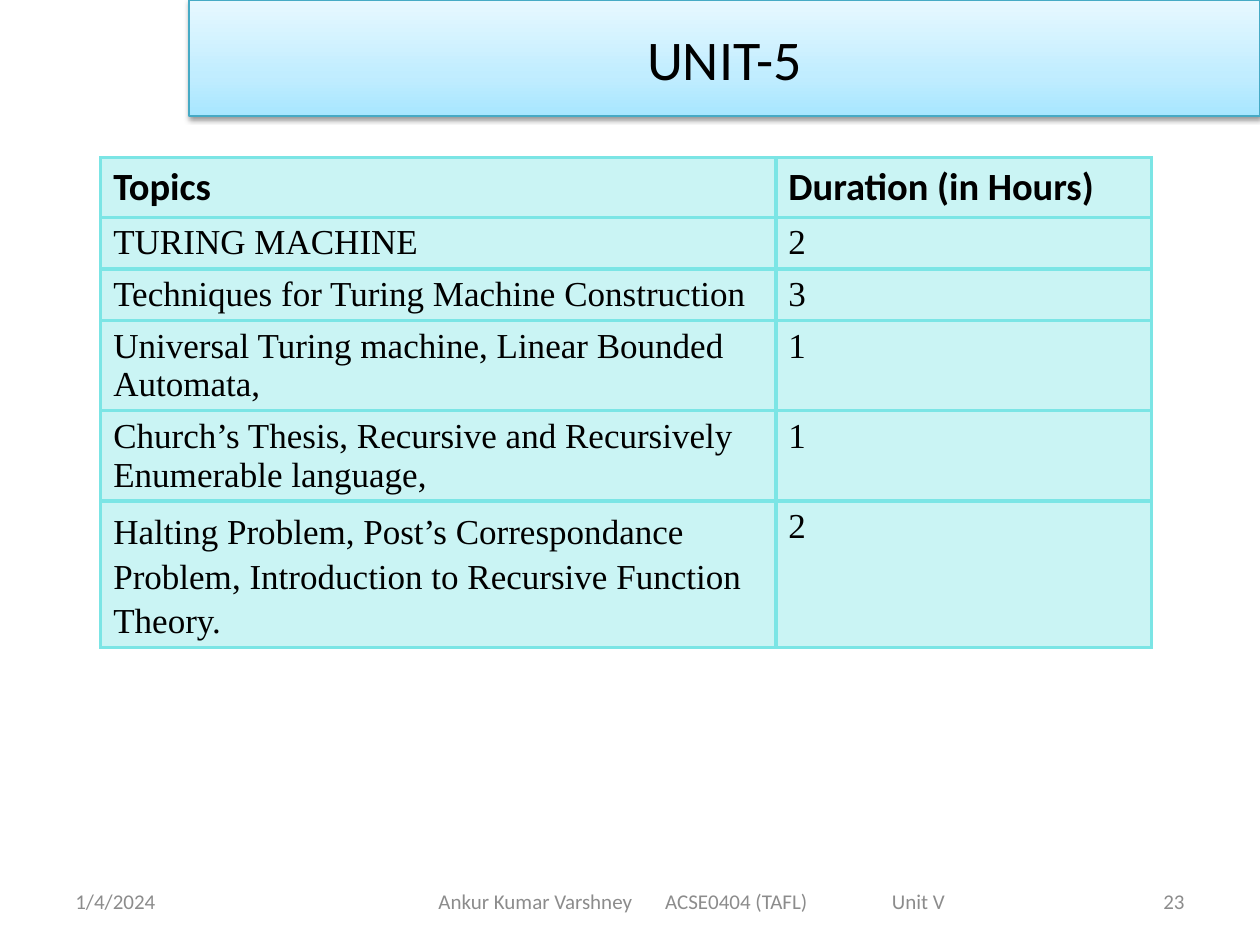
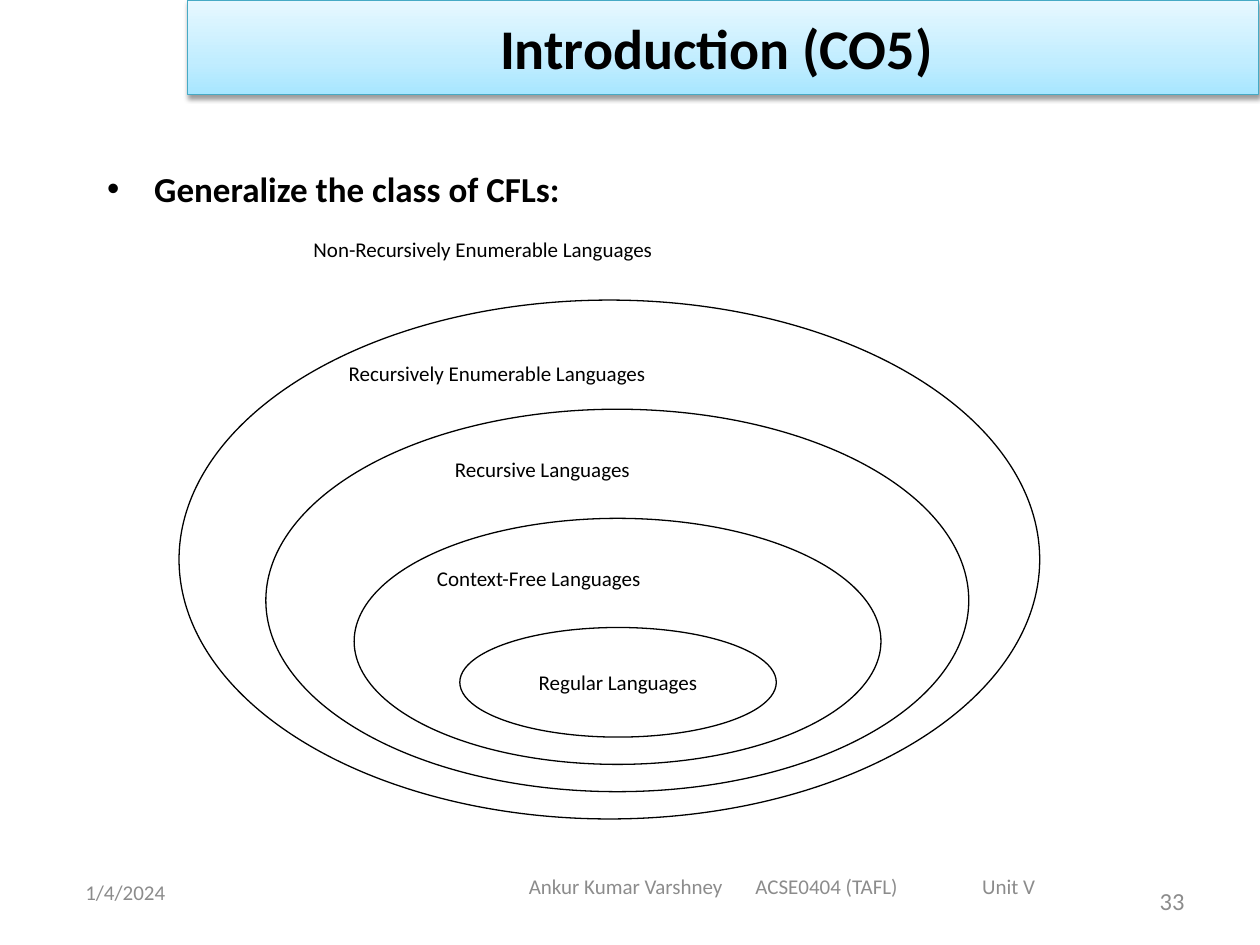
"""Builds two lecture slides on Turing machines and language classes."""
from pptx import Presentation
from pptx.dml.color import RGBColor
from pptx.enum.shapes import MSO_SHAPE as Shape
from pptx.enum.text import MSO_ANCHOR as Anchor, PP_ALIGN as Align
from pptx.oxml import parse_xml
from pptx.oxml.ns import nsdecls
from pptx.util import Cm, Pt

COLORS = {
    "text": "000000", "footer": "8C8C8C", "table": "7BE5E5", "band_line": "46AAC5",
    "band_bottom": "A7E6FF", "band_middle": "C1EDFF", "band_top": "E7F8FF",
}
FOOTER_PARTS = ["Ankur Kumar Varshney", "ACSE0404 (TAFL)", "Unit V"]
FOOTER_TAB = 4.57
TOPICS = [
    ("Topics", "Duration (in Hours)"),
    ("TURING MACHINE", "2"),
    ("Techniques for Turing Machine Construction", "3"),
    ("Universal Turing machine, Linear Bounded Automata,", "1"),
    ("Church’s Thesis, Recursive and Recursively Enumerable language,", "1"),
    ("Halting Problem, Post’s Correspondance Problem, "
     "Introduction to Recursive Function Theory.", "2"),
]
LANGUAGE_ELLIPSES = [(3.61, 17.35), (5.36, 14.17), (7.14, 10.62), (9.27, 6.38)]
LANGUAGE_LABELS = [
    ("Non-Recursively Enumerable Languages", 6.07, 4.65, 12.57),
    ("Recursively Enumerable Languages", 6.78, 7.14, 11.13),
    ("Recursive Languages", 8.92, 9.07, 6.96),
    ("Context-Free Languages", 8.56, 11.28, 7.85),
]


def xml(tag, body="", attributes=""):
    return parse_xml(f"<a:{tag} {nsdecls('a')} {attributes}>{body}</a:{tag}>")


def color_xml(name, alpha=100):
    return f'<a:srgbClr val="{COLORS[name]}"><a:alpha val="{alpha * 1000}"/></a:srgbClr>'


class Deck:
    """Holds the presentation style and the current slide."""

    def __init__(self):
        self.presentation = Presentation()
        self.presentation.slide_width = Cm(25.4)
        self.presentation.slide_height = Cm(19.05)
        self.slide = None

    def new_slide(self):
        self.slide = self.presentation.slides.add_slide(self.presentation.slide_layouts[6])

    def format(self, paragraph, size, color="text", font="Calibri", bold=False, align=Align.LEFT):
        paragraph.alignment = align
        for run in paragraph.runs:
            run.font.size = Pt(size)
            run.font.name = font
            run.font.bold = bold
            run.font.color.rgb = RGBColor.from_string(COLORS[color])

    def text(self, words, box, size, anchor=Anchor.TOP, shapes=None, **style):
        textbox = (shapes or self.slide.shapes).add_textbox(*map(Cm, box))
        frame = textbox.text_frame
        frame.word_wrap = True
        frame.vertical_anchor = anchor
        frame.text = words
        self.format(frame.paragraphs[0], size, **style)
        return frame

    def outline(self, shapes, kind, box, line):
        shape = shapes.add_shape(kind, *map(Cm, box))
        shape.shadow.inherit = False
        shape.fill.background()
        shape.line.color.rgb = RGBColor.from_string(COLORS[line])
        shape.line.width = Pt(0.75)
        shape.text_frame.vertical_anchor = Anchor.MIDDLE
        return shape

    def title(self, words, left, height, bold=False):
        band = self.outline(self.slide.shapes, Shape.RECTANGLE, (left, 0, 21.59, height), "band_line")
        stops = "".join(
            f'<a:gs pos="{position * 1000}">{color_xml(name)}</a:gs>'
            for position, name in [(0, "band_bottom"), (35, "band_middle"), (100, "band_top")])
        properties = band.element.spPr
        properties.replace(
            properties.find("{*}noFill"),
            xml("gradFill", f'<a:gsLst>{stops}</a:gsLst><a:lin ang="16200000" scaled="0"/>'))
        properties.find("{*}effectLst").append(
            xml("outerShdw", color_xml("text", 38),
                f'blurRad="{Pt(3.1)}" dist="{Pt(1.6)}" dir="5400000" rotWithShape="0"'))
        band.text_frame.text = words
        self.format(band.text_frame.paragraphs[0], 32, bold=bold, align=Align.CENTER)

    def footer(self, number, date_place, name_place, number_size=12):
        style = {"color": "footer", "anchor": Anchor.MIDDLE}
        self.text("1/4/2024", (*date_place, 5.92, 1.02), 12, **style)
        frame = self.text("\t".join(FOOTER_PARTS), (*name_place, 13.97, 1.02), 12, **style)
        frame.margin_left = Cm(1.85)
        tabs = "".join(f'<a:tab pos="{Cm(FOOTER_TAB * step)}" algn="l"/>'
                       for step in range(1, len(FOOTER_PARTS)))
        frame.paragraphs[0]._p.get_or_add_pPr().append(xml("tabLst", tabs))
        self.text(number, (18.21, 17.65, 5.92, 1.02), number_size, align=Align.RIGHT, **style)

    def bullet(self, words, box, size):
        paragraph = self.text(words, box, size, bold=True).paragraphs[0]
        properties = paragraph._p.get_or_add_pPr()
        properties.set("marL", str(Cm(0.95)))
        properties.set("indent", str(Cm(-0.95)))
        properties.append(xml("buFont", attributes='typeface="Arial"'))
        properties.append(xml("buChar", attributes='char="•"'))

    def table(self, rows, left, top, widths, row_height):
        size = (Cm(sum(widths)), Cm(row_height * len(rows)))
        table = self.slide.shapes.add_table(
            len(rows), len(widths), Cm(left), Cm(top), *size).table
        table.first_row = table.horz_banding = False
        for column, width in zip(table.columns, widths):
            column.width = Cm(width)
        for row_index, row in enumerate(rows):
            for column_index, words in enumerate(row):
                cell = table.cell(row_index, column_index)
                cell.text = words
                paragraph = cell.text_frame.paragraphs[0]
                if row_index == 0:
                    self.format(paragraph, 22, bold=True)
                else:
                    self.format(paragraph, 20, font="Times New Roman")
                self.paint_cell(cell)
        return table

    def paint_cell(self, cell):
        properties = cell._tc.get_or_add_tcPr()
        line = f"<a:solidFill>{color_xml('table')}</a:solidFill>"
        for side in "LRTB":
            properties.append(xml(f"ln{side}", line, f'w="{Pt(2.25)}"'))
        properties.append(xml("solidFill", color_xml("table", 40)))

    def nested_languages(self):
        shapes = self.slide.shapes.add_group_shape().shapes
        for level, (left, width) in enumerate(LANGUAGE_ELLIPSES):
            top, bottom = 6.05 + 2.2 * level, 16.51 - 0.55 * level
            ellipse = self.outline(shapes, Shape.OVAL, (left, top, width, bottom - top), "text")
        ellipse.text_frame.word_wrap = False
        ellipse.text_frame.text = "Regular Languages"
        self.format(ellipse.text_frame.paragraphs[0], 12, align=Align.CENTER)
        for words, left, top, width in LANGUAGE_LABELS:
            self.text(words, (left, top, width, 0.99), 12, shapes=shapes)


def main():
    deck = Deck()

    deck.new_slide()
    table = deck.table(TOPICS, 2.03, 3.18, (13.61, 7.57), 1.04)
    table.cell(len(TOPICS) - 1, 0).text_frame.paragraphs[0].line_spacing = 1.15
    deck.footer("23", (1.27, 17.65), (6.99, 17.65))
    deck.title("UNIT-5", 3.81, 2.34)

    deck.new_slide()
    deck.bullet("Generalize the class of CFLs:", (1.91, 3.25, 21.39, 14.96), 20)
    deck.nested_languages()
    deck.title("Introduction (CO5) ", 3.78, 1.91, bold=True)
    deck.footer("33", (1.47, 17.48), (8.81, 17.35), number_size=14)

    deck.presentation.save("out.pptx")


if __name__ == "__main__":
    main()
